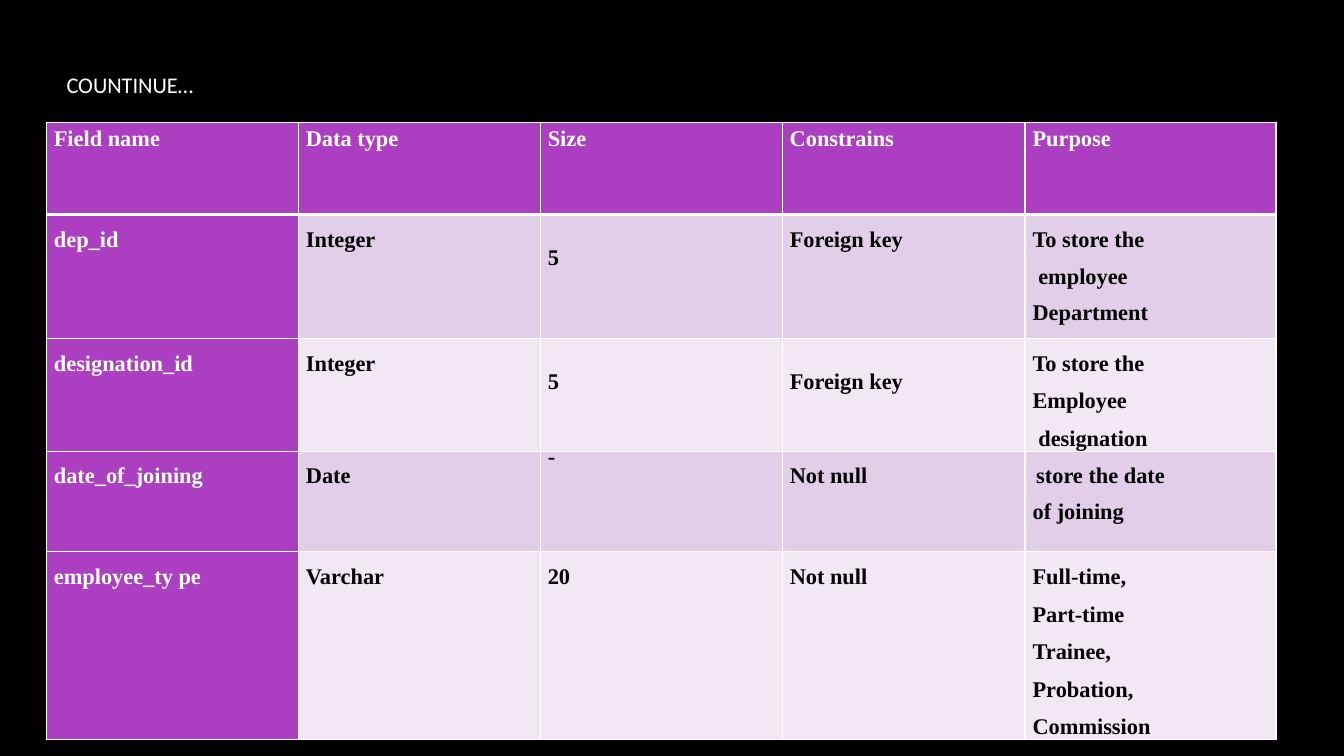
from dataclasses import dataclass

import pptx
import pptx.dml.color
import pptx.enum.text
import pptx.oxml
import pptx.oxml.ns
import pptx.util
from pptx.util import Pt

WHITE, BLACK = "FFFFFF", "000000"
PURPLE, LILAC, PALE = "AC3EC1", "E3CEE9", "F1E8F4"
INDENT = 5.4  # left edge of cell text
LEADING = 13.4  # exact line height of the field rows


@dataclass
class Line:
    text: str
    indent: float = INDENT
    leading: float = LEADING


@dataclass
class Entry:
    lines: list[Line]
    drop: int = 1  # line heights left free above the text


@dataclass
class FieldRow:
    height: float
    fill: str
    entries: list[Entry]


def entry(*texts: str, drop: int = 1) -> Entry:
    return Entry([Line(text) for text in texts], drop)


COLUMN_WIDTHS = [180, 172.8, 172.8, 173.5, 179.3]
HEADER_HEIGHT = 65.5
HEADINGS = ["Field name", "Data type", "Size", "Constrains", "Purpose"]
FIELDS = [
    FieldRow(88.5, LILAC, [
        entry("dep_id"), entry("Integer"), entry("5", drop=2), entry("Foreign key"),
        Entry([Line("To store the"), Line("employee", 9.5),
               Line("Department", leading=12.4)])]),
    FieldRow(78.5, PALE, [
        entry("designation_id"), entry("Integer"), entry("5", drop=2),
        entry("Foreign key", drop=2),
        Entry([Line("To store the"), Line("Employee"), Line("designation", 9.5)])]),
    FieldRow(72, LILAC, [
        entry("date_of_joining"), entry("Date"), entry("-", drop=0), entry("Not null"),
        Entry([Line("store the date", 8), Line("of joining", leading=12.4)])]),
    FieldRow(129, PALE, [
        entry("employee_ty pe"), entry("Varchar"), entry("20"), entry("Not null"),
        entry("Full-time,", "Part-time", "Trainee,", "Probation,", "Commission")]),
]


def rgb(value: str) -> pptx.dml.color.RGBColor:
    return pptx.dml.color.RGBColor.from_string(value)


def paint(fill, color: str) -> None:
    fill.solid()
    fill.fore_color.rgb = rgb(color)


def style_font(font, name: str, color: str, bold: bool) -> None:
    font.name, font.size, font.bold = name, Pt(16), bold
    font.color.rgb = rgb(color)


def style_cell(cell, fill: str, top: float, bottom: float) -> None:
    """Set white borders, the fill and empty margins."""
    properties = cell._tc.get_or_add_tcPr()
    for side, width in (("L", 1), ("R", 1), ("T", top), ("B", bottom)):
        properties.append(pptx.oxml.parse_xml(
            f'<a:ln{side} {pptx.oxml.ns.nsdecls("a")} w="{Pt(width)}">'
            f'<a:solidFill><a:srgbClr val="{WHITE}"/></a:solidFill></a:ln{side}>'))
    paint(cell.fill, fill)
    cell.margin_left = cell.margin_right = cell.margin_top = cell.margin_bottom = 0


def write_heading(cell, text: str) -> None:
    style_cell(cell, PURPLE, 1, 3)
    cell.margin_left = cell.margin_right = Pt(INDENT)
    cell.text_frame.text = text
    paragraph = cell.text_frame.paragraphs[0]
    paragraph.line_spacing = 1.15
    paragraph.space_after = Pt(10)
    style_font(paragraph.runs[0].font, "Times New Roman", WHITE, True)


def write_entry(cell, content: Entry, color: str) -> None:
    cell.margin_top = Pt(LEADING * content.drop)
    cell.text_frame.text = "\n".join(line.text for line in content.lines)
    for index, (paragraph, line) in enumerate(
            zip(cell.text_frame.paragraphs, content.lines)):
        paragraph._p.get_or_add_pPr().set("marL", str(Pt(line.indent)))
        paragraph.line_spacing = Pt(line.leading)
        paragraph.space_before = Pt(LEADING if index else 0)
        style_font(paragraph.runs[0].font, "Times New Roman", color, True)


def add_title(slide) -> None:
    title = slide.shapes.title
    title.left, title.top, title.width, title.height = Pt(40.3), Pt(38.2), Pt(797.8), Pt(43.9)
    frame = title.text_frame
    frame.text = "COUNTINUE…"
    frame.auto_size = pptx.enum.text.MSO_AUTO_SIZE.NONE
    frame.vertical_anchor = pptx.enum.text.MSO_ANCHOR.MIDDLE
    frame.paragraphs[0].alignment = pptx.enum.text.PP_ALIGN.LEFT
    style_font(frame.paragraphs[0].runs[0].font, "Calibri", WHITE, False)


def add_field_table(slide) -> None:
    heights = [HEADER_HEIGHT] + [field.height for field in FIELDS]
    table = slide.shapes.add_table(
        len(heights), len(HEADINGS), Pt(33.1), Pt(87.8),
        Pt(sum(COLUMN_WIDTHS)), Pt(sum(heights))).table
    table.first_row = table.horz_banding = False
    for column, width in zip(table.columns, COLUMN_WIDTHS):
        column.width = Pt(width)
    for row, height in zip(table.rows, heights):
        row.height = Pt(height)

    # Header row
    for column, heading in enumerate(HEADINGS):
        write_heading(table.cell(0, column), heading)

    # Field rows
    for row, field in enumerate(FIELDS, start=1):
        for column, content in enumerate(field.entries):
            cell = table.cell(row, column)
            is_name = column == 0
            style_cell(cell, PURPLE if is_name else field.fill, 3 if row == 1 else 1, 1)
            write_entry(cell, content, WHITE if is_name else BLACK)


def main() -> None:
    deck = pptx.Presentation()
    deck.slide_width, deck.slide_height = Pt(960), Pt(540)
    slide = deck.slides.add_slide(deck.slide_layouts[5])
    paint(slide.background.fill, BLACK)
    add_title(slide)
    add_field_table(slide)
    deck.save("out.pptx")


if __name__ == "__main__":
    main()
